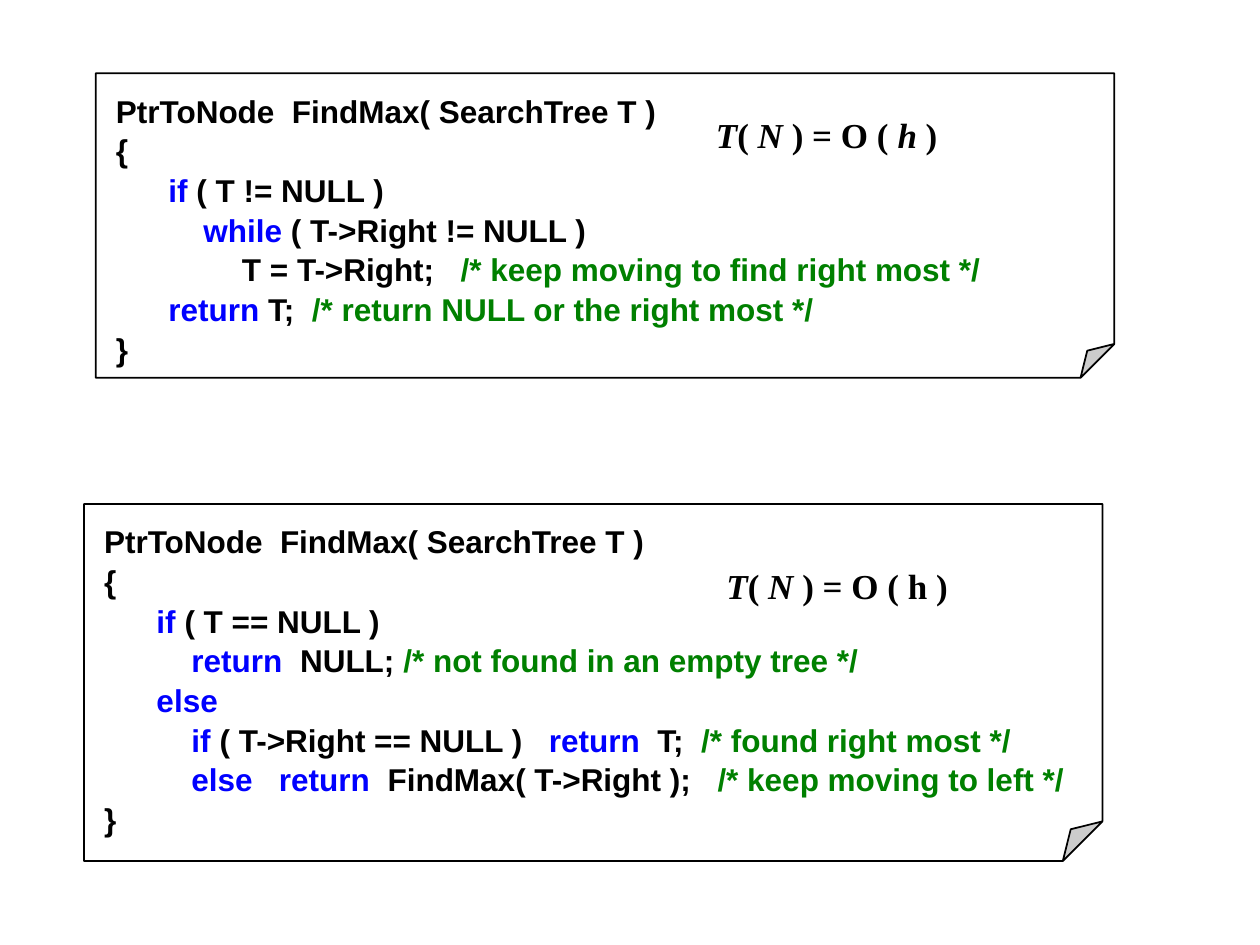
import pptx
import pptx.util
import pptx.dml.color
import pptx.enum.shapes
import pptx.enum.text
import pptx.oxml.ns
from lxml import etree

Pt = pptx.util.Pt
tag = pptx.oxml.ns.qn
HUES = {"text": "000000", "key": "0000FF", "note": "008000", "page": "FFFFFF"}

HEAD = [
    [("PtrToNode  FindMax( SearchTree T )", "text")],
    [("{", "text")],
]
TAIL = [[("}", "text")]]
LOOP = HEAD + [
    [("      if ", "key"), ("( T != NULL )", "text")],
    [("          while ", "key"), ("( T->Right != NULL )", "text")],
    [("\tT = T->Right;   ", "text"),
     ("/* keep moving to find right most */", "note")],
    [("      return", "key"), (" T;  ", "text"),
     ("/* return NULL or the right most */", "note")],
] + TAIL
RECUR = HEAD + [
    [("      if", "key"), (" ( T == NULL )", "text")],
    [("          return", "key"), ("  NULL; ", "text"),
     ("/* not found in an empty tree */", "note")],
    [("      else", "key")],
    [("          if ", "key"), ("( T->Right == NULL )  ", "text"),
     (" return", "key"), ("  T;  ", "text"), ("/* found right most */", "note")],
    [("          else   return", "key"), ("  FindMax( T->Right );   ", "text"),
     ("/* keep moving to left */", "note")],
] + TAIL

# (text, italic) runs
COST = [("T", True), ("( ", False), ("N", True)]
LOOP_COST = COST + [(" ) = O ( ", False), ("h", True), (" )", False)]
RECUR_COST = COST + [(" ) = O ( h )", False)]

# left, top, width, height
CARDS = [
    (LOOP, (54.8, 41.9, 582, 174)),
    (RECUR, (48, 288, 582, 204)),
]
COSTS = [
    (LOOP_COST, (402, 60, 174, 31.5)),
    (RECUR_COST, (408, 318, 174, 31.5)),
]
INSET = (11.5, 9.4, 2.9, 3.6)
FOLD = 11100  # corner size, in 1/100000 of the shorter side
TABS = 7
TAB_STEP = 72
SPACING = 1.05


def color(name):
    return pptx.dml.color.RGBColor.from_string(HUES[name])


def add_tabs(para):
    tabs = etree.SubElement(para._p.get_or_add_pPr(), tag("a:tabLst"))
    for i in range(1, TABS + 1):
        etree.SubElement(tabs, tag("a:tab"), pos=str(Pt(i * TAB_STEP)), algn="l")


def add_run(para, text, face, size, hue="text", slant=False):
    run = para.add_run()
    run.text = text
    font = run.font
    font.name, font.size = face, Pt(size)
    font.bold, font.italic = True, slant
    font.color.rgb = color(hue)


def set_para(para):
    add_tabs(para)
    para.alignment = pptx.enum.text.PP_ALIGN.LEFT
    para.line_spacing = SPACING


def set_fold(card):
    """Set the size of the folded corner."""
    geom = card._element.spPr.find(tag("a:prstGeom"))
    guides = geom.find(tag("a:avLst"))
    if guides is None:
        guides = etree.SubElement(geom, tag("a:avLst"))
    etree.SubElement(guides, tag("a:gd"), name="adj", fmla=f"val {FOLD}")


def add_card(slide, lines, box):
    """Draw a folded note that holds lines of code."""
    card = slide.shapes.add_shape(
        pptx.enum.shapes.MSO_SHAPE.FOLDED_CORNER, *map(Pt, box))
    set_fold(card)
    card.shadow.inherit = False
    card.fill.solid()
    card.fill.fore_color.rgb = color("page")
    card.line.color.rgb = color("text")
    card.line.width = Pt(1)
    frame = card.text_frame
    frame.word_wrap = True
    frame.vertical_anchor = pptx.enum.text.MSO_ANCHOR.TOP
    (frame.margin_left, frame.margin_top,
     frame.margin_right, frame.margin_bottom) = map(Pt, INSET)
    for i, line in enumerate(lines):
        para = frame.add_paragraph() if i else frame.paragraphs[0]
        set_para(para)
        for text, hue in line:
            add_run(para, text, "Arial", 18, hue)


def add_cost(slide, runs, box):
    frame = slide.shapes.add_textbox(*map(Pt, box)).text_frame
    frame.word_wrap = True
    frame.auto_size = pptx.enum.text.MSO_AUTO_SIZE.SHAPE_TO_FIT_TEXT
    para = frame.paragraphs[0]
    set_para(para)
    for text, slant in runs:
        add_run(para, text, "Times New Roman", 20, slant=slant)


def main():
    deck = pptx.Presentation()
    deck.slide_width, deck.slide_height = Pt(720), Pt(540)
    slide = deck.slides.add_slide(deck.slide_layouts[6])
    for lines, box in CARDS:
        add_card(slide, lines, box)
    for runs, box in COSTS:
        add_cost(slide, runs, box)
    deck.save("out.pptx")


if __name__ == "__main__":
    main()
